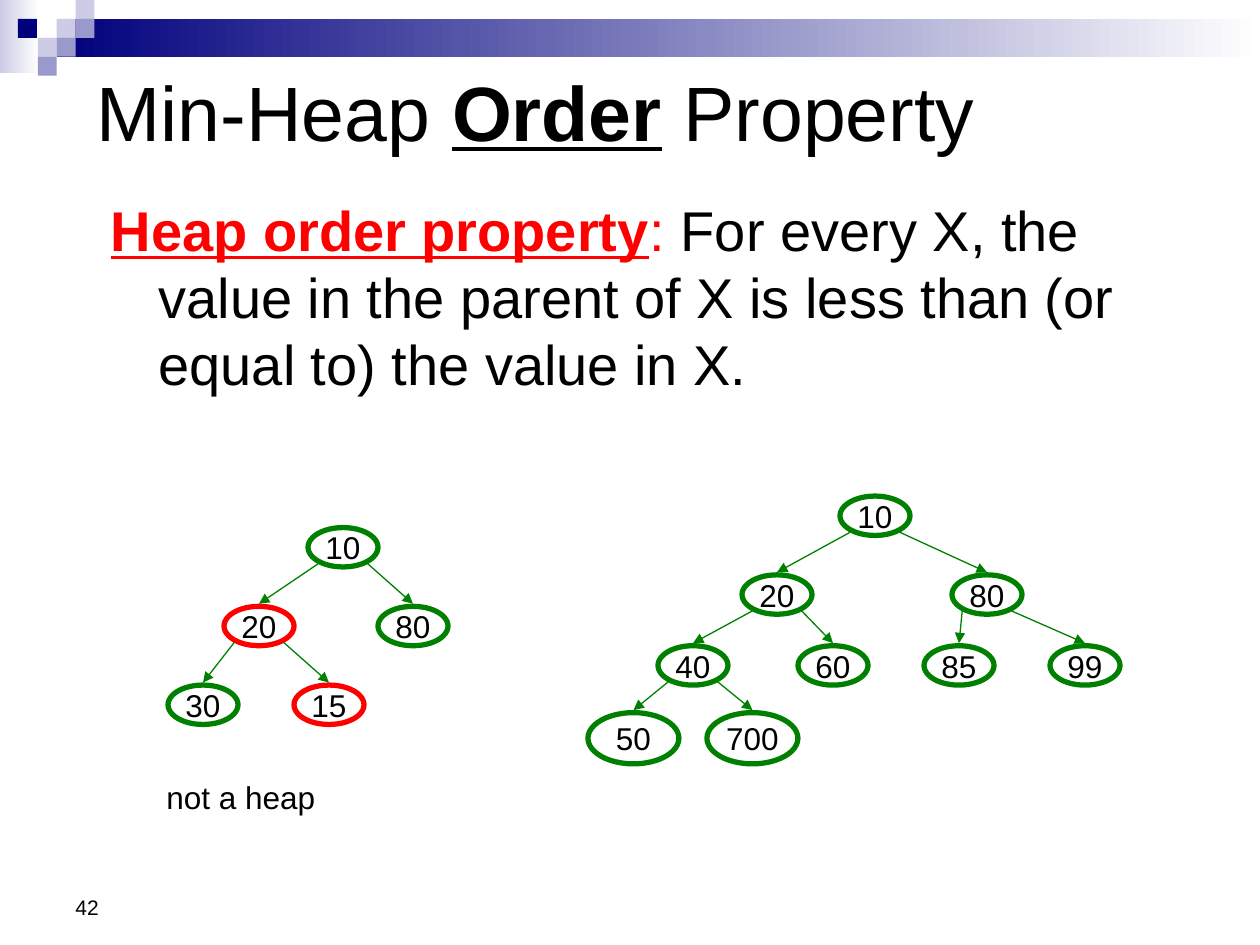
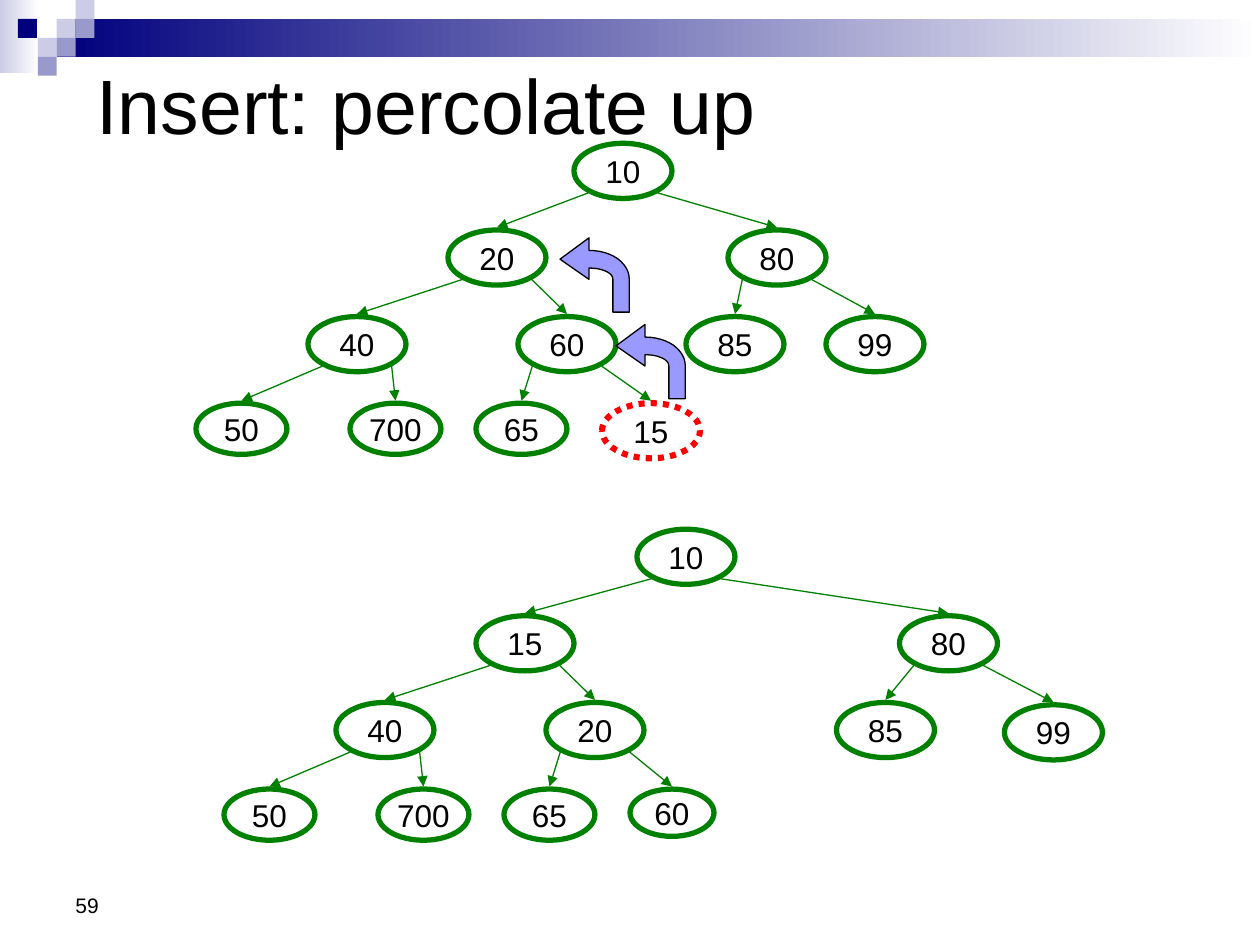
from dataclasses import dataclass
from math import sqrt
from typing import Any, NamedTuple

from lxml.etree import SubElement
from pptx import Presentation
from pptx.dml.color import RGBColor
from pptx.enum.dml import MSO_LINE
from pptx.enum.shapes import MSO_CONNECTOR, MSO_SHAPE
from pptx.enum.text import MSO_ANCHOR as Anchor, MSO_AUTO_SIZE as AutoSize, PP_ALIGN as Align
from pptx.oxml.ns import qn
from pptx.util import Inches, Pt

# Palette and font
BLACK = RGBColor(0x00, 0x00, 0x00)
RED = RGBColor(0xFF, 0x00, 0x00)
GREEN = RGBColor(0x00, 0x80, 0x00)
WHITE = RGBColor(0xFF, 0xFF, 0xFF)
NAVY = RGBColor(0x00, 0x00, 0x7D)
LAVENDER = RGBColor(0xCC, 0xCC, 0xE6)
PERIWINKLE = RGBColor(0x99, 0x99, 0xCC)
ARROW_BLUE = RGBColor(0x99, 0x99, 0xFF)
FONT = "Arial"

# Layout grid: 90 columns by 120 rows; the corner mosaic has its own square unit
WIDTH, HEIGHT = Inches(10), Inches(7.5)
COLUMN, ROW = WIDTH / 90, HEIGHT / 120
SQUARE = WIDTH * 0.015
EDGE_GAP = Inches(0.02)


class Box(NamedTuple):
    """A place on the grid, in columns and rows."""
    column: float
    row: float
    columns: float
    rows: float

    def lengths(self) -> list[int]:
        units = (COLUMN, ROW, COLUMN, ROW)
        return [round(value * unit) for value, unit in zip(self, units)]


class Run(NamedTuple):
    text: str
    formats: dict[str, Any] = {}
    color: RGBColor = BLACK


class Tile(NamedTuple):
    """A rectangle of the corner mosaic, in squares."""
    column: float
    row: float
    columns: float
    rows: float
    color: RGBColor
    fades: bool = False


@dataclass(frozen=True)
class Node:
    label: str
    column: float
    row: float
    size: float
    color: RGBColor = GREEN
    dotted: bool = False


STRONG = {"bold": True, "underline": True}

TILES = [
    Tile(0, 0, 2.07, 3.87, LAVENDER, True),
    Tile(3, 1, 63.67, 2, NAVY, True),
    Tile(3, 1, 1, 1, LAVENDER),
    Tile(4, 0, 1, 1, LAVENDER),
    Tile(4, 1, 1, 1, PERIWINKLE),
    Tile(2, 2, 1, 1, LAVENDER),
    Tile(0.95, 1, 1, 1, NAVY),
    Tile(3, 2, 1, 1, PERIWINKLE),
    Tile(2, 3, 1, 1, PERIWINKLE),
]

# Trees in heap order: the children of item i are items 2i + 1 and 2i + 2
NOT_A_HEAP = [
    Node("10", 22, 67, 5),
    Node("20", 16, 77, 5, RED), Node("80", 27, 77, 5),
    Node("30", 12, 87, 5), Node("15", 21, 87, 5, RED),
]
MIN_HEAP = [
    Node("10", 60, 63, 5),
    Node("20", 53, 73, 5), Node("80", 68, 73, 5),
    Node("40", 47, 82, 5), Node("60", 57, 82, 5),
    Node("85", 66, 82, 5), Node("99", 75, 82, 5),
    Node("50", 42, 90.5, 6.5), Node("700", 50.5, 90.5, 6.5),
]
BEFORE = [
    Node("10", 41, 18.2, 7),
    Node("20", 32, 29.2, 7), Node("80", 52, 29.2, 7),
    Node("40", 22, 40.2, 7), Node("60", 37, 40.2, 7),
    Node("85", 49, 40.2, 7), Node("99", 59, 40.2, 7),
    Node("50", 14, 51.2, 6.5), Node("700", 25, 51.2, 6.5),
    Node("65", 34, 51.2, 6.5), Node("15", 43, 51.2, 7, RED, True),
]
AFTER = [
    Node("10", 45.5, 67.2, 7),
    Node("15", 34, 78.2, 7), Node("80", 64.25, 78.2, 7),
    Node("40", 24, 89.2, 7), Node("20", 39, 89.2, 7),
    Node("85", 59.75, 89.2, 7), Node("99", 71.75, 89.5, 7),
    Node("50", 16, 100.2, 6.5), Node("700", 27, 100.2, 6.5),
    Node("65", 36, 100.2, 6.5), Node("60", 45, 100.2, 6),
]


def set_values(target: Any, values: dict[str, Any]) -> None:
    for name, value in values.items():
        setattr(target, name, value)


def place(shape: Any, box: Box) -> None:
    set_values(shape, dict(zip(("left", "top", "width", "height"), box.lengths())))


def write(shape: Any, runs: list[Run], size: float, frame: dict[str, Any],
          align: Any = Align.LEFT) -> None:
    text_frame = shape.text_frame
    set_values(text_frame, frame)
    paragraph = text_frame.paragraphs[0]
    set_values(paragraph, {"alignment": align, "space_before": Pt(0)})
    for text, formats, color in runs:
        run = paragraph.add_run()
        run.text = text
        set_values(run.font, {"name": FONT, "size": Pt(size), **formats})
        run.font.color.rgb = color


def add_label(slide: Any, text: str, box: Box, size: float, anchor: Any = Anchor.TOP) -> None:
    label = slide.shapes.add_textbox(*box.lengths())
    write(label, [Run(text)], size, {"word_wrap": True, "vertical_anchor": anchor})


def add_tile(shapes: Any, tile: Tile) -> Any:
    shape = shapes.add_shape(MSO_SHAPE.RECTANGLE, *[round(value * SQUARE) for value in tile[:4]])
    shape.shadow.inherit = False
    shape.line.fill.background()
    if tile.fades:
        shape.fill.gradient()
        shape.fill.gradient_angle = 0
        for stop, color, position in zip(shape.fill.gradient_stops, (tile.color, WHITE), (0, 1)):
            stop.color.rgb = color
            stop.position = position
    else:
        shape.fill.solid()
        shape.fill.fore_color.rgb = tile.color
    return shape


def decorate_master(presentation: Any, slide: Any) -> None:
    """Move the band and mosaic to the master, behind its placeholders."""
    tree = presentation.slide_master.shapes.element
    for index, tile in enumerate(TILES):
        element = add_tile(slide.shapes, tile).element
        element.nvSpPr.cNvPr.set("id", str(100 + index))
        tree.insert(2 + index, element)


def add_node(slide: Any, node: Node) -> Any:
    box = Box(node.column, node.row, node.size, node.size)
    ellipse = slide.shapes.add_shape(MSO_SHAPE.OVAL, *box.lengths())
    ellipse.shadow.inherit = False
    ellipse.fill.background()
    ellipse.line.color.rgb = node.color
    ellipse.line.width = Pt(3.5 if node.dotted else 3)
    if node.dotted:
        ellipse.line.dash_style = MSO_LINE.ROUND_DOT
    write(ellipse, [Run(node.label)], 18,
          {"word_wrap": False, "vertical_anchor": Anchor.MIDDLE}, Align.CENTER)
    return ellipse


def add_edge(slide: Any, parent: Any, child: Any, side: int) -> None:
    """Arrow from the parent's lower left (-1) or right (1) to the child's top."""
    reach = 0.5 / sqrt(2)
    start_x = parent.left + parent.width * (0.5 + side * reach)
    start_y = parent.top + parent.height * (0.5 + reach) + EDGE_GAP
    end_x, end_y = child.left + child.width / 2, child.top - EDGE_GAP
    ends = [round(value) for value in (start_x, start_y, end_x, end_y)]
    edge = slide.shapes.add_connector(MSO_CONNECTOR.STRAIGHT, *ends)
    edge.line.color.rgb = GREEN
    edge.line.width = Pt(0.75)
    properties = edge.element.spPr
    SubElement(properties.find(qn("a:ln")), qn("a:tailEnd"), type="triangle")
    SubElement(properties, qn("a:effectLst"))


def add_tree(slide: Any, nodes: list[Node]) -> None:
    ellipses = [add_node(slide, node) for node in nodes]
    for index, child in enumerate(ellipses[1:], start=1):
        add_edge(slide, ellipses[(index - 1) // 2], child, -1 if index % 2 else 1)


def curve(*controls: tuple[float, float], steps: int = 12) -> list[tuple[float, float]]:
    """Points along a cubic curve, without its start."""
    points = []
    for step in range(1, steps + 1):
        t = step / steps
        weights = ((1 - t) ** 3, 3 * t * (1 - t) ** 2, 3 * t * t * (1 - t), t ** 3)
        points.append(tuple(sum(weight * point[axis] for weight, point in zip(weights, controls))
                            for axis in (0, 1)))
    return points


def add_swap_arrow(slide: Any, column: float, row: float) -> None:
    """Bent arrow pointing left, outlined in thousandths of an inch from its corner."""
    outline = [
        (230, 0), (230, 100),
        *curve((230, 100), (410, 100), (550, 200), (550, 330)),
        (550, 590), (420, 590), (420, 330),
        *curve((420, 330), (420, 280), (340, 240), (230, 240)),
        (230, 330),
    ]
    builder = slide.shapes.build_freeform(0, 170, scale=Inches(1) / 1000)
    builder.add_line_segments(outline, close=True)
    arrow = builder.convert_to_shape(round(column * COLUMN), round(row * ROW))
    arrow.shadow.inherit = False
    arrow.fill.solid()
    arrow.fill.fore_color.rgb = ARROW_BLUE
    arrow.line.color.rgb = BLACK
    arrow.line.width = Pt(0.75)


def start_slide(presentation: Any, layout: int, title: list[Run], title_row: float,
                number: str, number_row: float) -> Any:
    slide = presentation.slides.add_slide(presentation.slide_layouts[layout])
    place(slide.shapes.title, Box(6, title_row, 76.5, 12))
    write(slide.shapes.title, title, 44,
          {"word_wrap": True, "auto_size": AutoSize.NONE, "vertical_anchor": Anchor.MIDDLE})
    add_label(slide, number, Box(4.5, number_row, 21, 8.3), 12, Anchor.BOTTOM)
    return slide


def build_order_slide(presentation: Any) -> Any:
    title = [Run("Min-Heap "), Run("Order", STRONG), Run(" Property")]
    slide = start_slide(presentation, 1, title, 8, "42", 109.3)
    # Definition with a hanging indent and no bullet
    body = slide.placeholders[1]
    place(body, Box(7, 24, 76.5, 30))
    properties = body.text_frame.paragraphs[0]._p.get_or_add_pPr()
    for name, inches in (("marL", 0.38), ("indent", -0.38)):
        properties.set(name, str(Inches(inches)))
    SubElement(properties, qn("a:buNone"))
    definition = [
        Run("Heap order property", STRONG, RED),
        Run(":", {}, RED),
        Run(" For every X, the value in the parent of X is less than (or equal to) "
            "the value in X."),
    ]
    write(body, definition, 32, {"word_wrap": True, "auto_size": AutoSize.NONE,
                                 "vertical_anchor": Anchor.TOP})
    # Counterexample and valid heap
    add_tree(slide, NOT_A_HEAP)
    add_tree(slide, MIN_HEAP)
    add_label(slide, "not a heap", Box(11, 98, 21, 6), 18)
    return slide


def build_insert_slide(presentation: Any) -> None:
    slide = start_slide(presentation, 5, [Run("Insert: percolate up")], 7.2, "59", 109)
    add_tree(slide, BEFORE)
    add_tree(slide, AFTER)
    # Swaps that carry the new value upwards
    for column, row in ((44, 41.2), (40, 30.2)):
        add_swap_arrow(slide, column, row)


def main() -> None:
    presentation = Presentation()
    set_values(presentation, {"slide_width": WIDTH, "slide_height": HEIGHT})
    order_slide = build_order_slide(presentation)
    decorate_master(presentation, order_slide)
    build_insert_slide(presentation)
    presentation.save("out.pptx")


if __name__ == "__main__":
    main()
